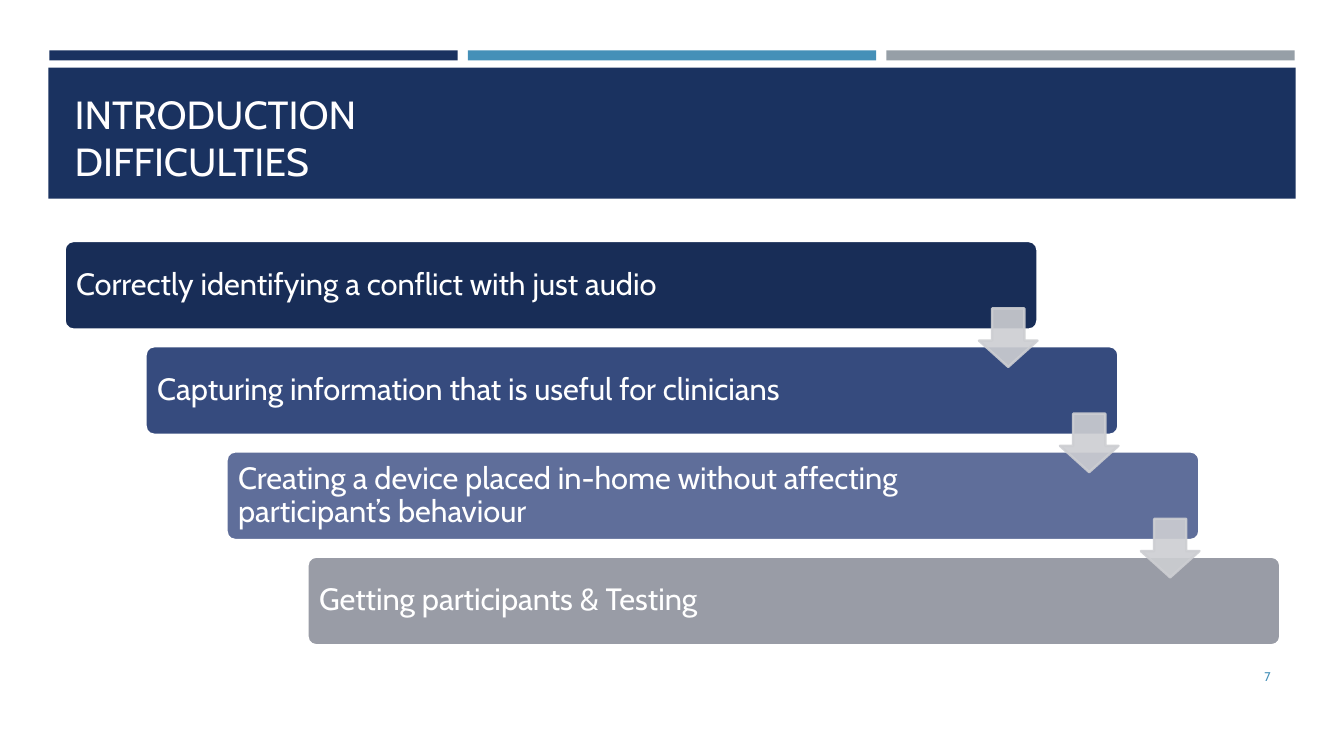
from lxml import etree
from pptx import Presentation
from pptx import util as u
from pptx.dml.color import RGBColor
from pptx.enum import shapes, text
from pptx.oxml.ns import qn

THEME = dict(
    font="Cabin", title=28, step=22, number=9,
    white="FFFFFF", title_ink="FFFEFF", navy="1A3260", blue="4590B8",
    grey="969FA7", arrow="CDCED2",
    steps=["182D57", "364B7E", "5F6E9A", "999CA6"],
)
STEPS = [
    "Correctly identifying a conflict with just audio",
    "Capturing information that is useful for clinicians",
    "Creating a device placed in-home without affecting participant’s behaviour",
    "Getting participants & Testing",
]


def add_block(kind, x, y, w, h, fill, line=None):
    sp = s.shapes.add_shape(kind, *map(u.Inches, (x, y, w, h)))
    sp.shadow.inherit = False
    sp.fill.solid()
    sp.fill.fore_color.rgb = RGBColor.from_string(fill)
    if line:
        sp.line.color.rgb = RGBColor.from_string(line)
        sp.line.width = u.Pt(1.75)
    else:
        sp.line.fill.background()
    return sp


def set_text(sp, content, size, color, anchor, align=text.PP_ALIGN.LEFT, spacing=1.0):
    tf = sp.text_frame
    tf.word_wrap = True
    tf.auto_size = text.MSO_AUTO_SIZE.NONE
    tf.vertical_anchor = anchor
    p = tf.paragraphs[0]
    p.text = content
    p.alignment = align
    p.line_spacing = spacing
    for item in (p, *p.runs):
        item.font.name = THEME["font"]
        item.font.size = u.Pt(size)
        item.font.color.rgb = RGBColor.from_string(color)
    return tf


prs = Presentation()
prs.slide_width, prs.slide_height = u.Inches(13.33), u.Inches(7.5)
s = prs.slides.add_slide(prs.slide_layouts[5])
kinds, anchors = shapes.MSO_SHAPE, text.MSO_ANCHOR

# Header: three accent bars over the title band
for col, name in enumerate(("navy", "blue", "grey")):
    add_block(kinds.RECTANGLE, 0.49 + 4.15 * col, 0.5, 4.05, 0.1, THEME[name])
add_block(kinds.RECTANGLE, 0.48, 0.67, 12.37, 1.3, THEME["navy"])

# Title, brought in front of the band
title = s.shapes.title
title.left, title.top, title.width, title.height = map(u.Inches, (0.64, 0.77, 12.06, 1.11))
set_text(title, "INTRODUCTION\vDIFFICULTIES", THEME["title"], THEME["title_ink"], anchors.BOTTOM)
s.shapes.element.append(title.element)

# Slide number
number = s.shapes.add_textbox(*map(u.Inches, (11.55, 6.51, 1.15, 0.4)))
set_text(number, "7", THEME["number"], THEME["blue"], anchors.MIDDLE, text.PP_ALIGN.RIGHT)

# Staircase of steps
left, top, width, height = 0.64, 2.39, 9.65, 0.88
dx, dy = 0.803, 1.044
for i, (step, fill) in enumerate(zip(STEPS, THEME["steps"])):
    box = add_block(kinds.ROUNDED_RECTANGLE, left + dx * i, top + dy * i,
                    width, height, fill, THEME["white"])
    box.adjustments[0] = 0.1
    tf = set_text(box, step, THEME["step"], THEME["white"], anchors.MIDDLE, spacing=0.9)
    tf.margin_left, tf.margin_right = u.Inches(0.09), u.Inches(1.46)

# Translucent arrows joining each step to the next
size = 0.58
for i in range(len(STEPS) - 1):
    arrow = add_block(kinds.DOWN_ARROW, left + width - size + dx * i, 3.06 + dy * i,
                      size, size, THEME["arrow"], THEME["arrow"])
    arrow.adjustments[0], arrow.adjustments[1] = 0.55, 0.45
    for color in arrow.element.spPr.iter(qn("a:srgbClr")):
        etree.SubElement(color, qn("a:alpha"), val="90000")

prs.save("out.pptx")
